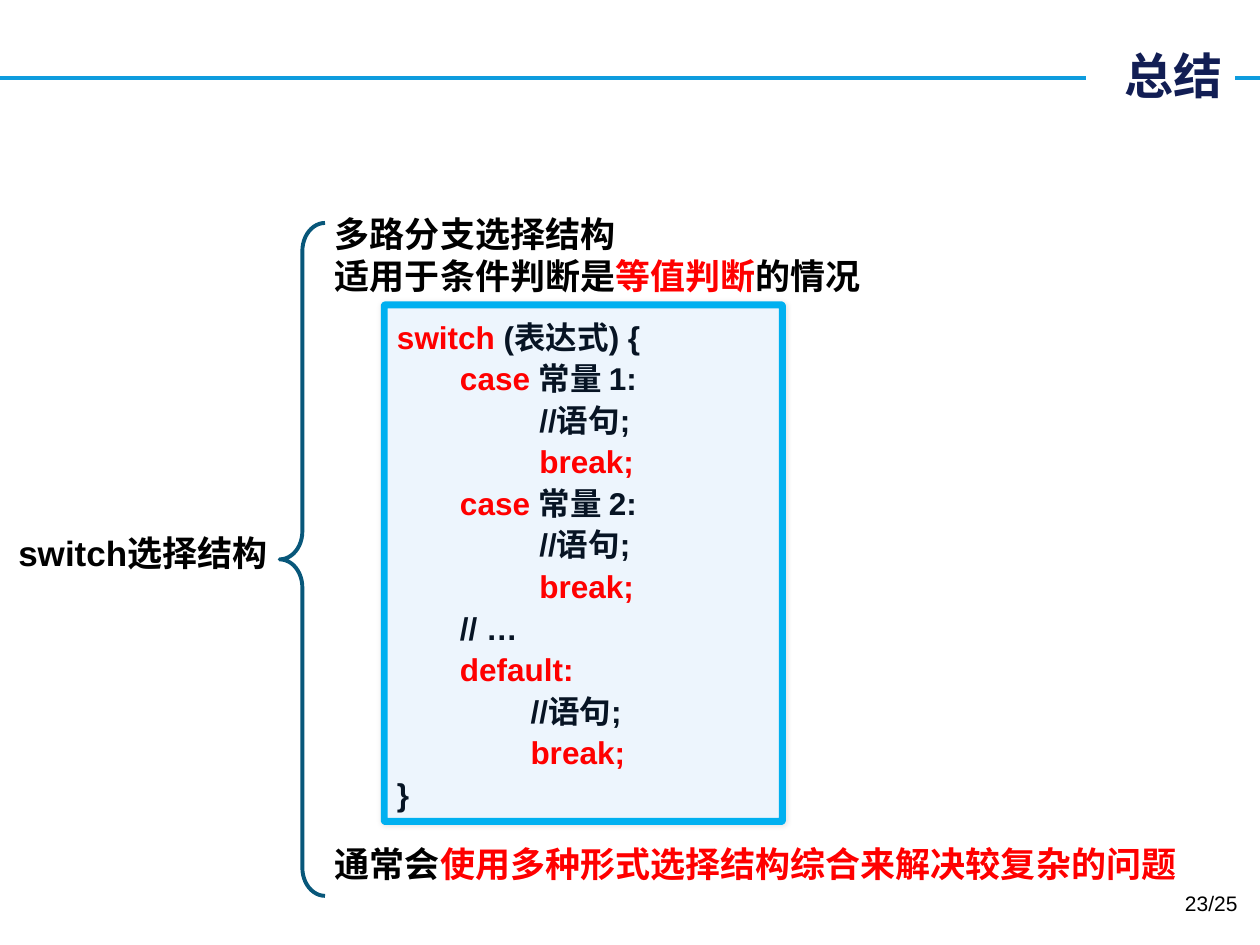
from lxml import etree
from pptx import Presentation
from pptx.dml.color import RGBColor
from pptx.enum.shapes import MSO_CONNECTOR, MSO_SHAPE
from pptx.enum.text import MSO_ANCHOR, PP_ALIGN
from pptx.oxml.ns import qn
from pptx.util import Inches, Pt

STRAIGHT = MSO_CONNECTOR.STRAIGHT
RECT, ROUND_RECT, BRACE = MSO_SHAPE.RECTANGLE, MSO_SHAPE.ROUNDED_RECTANGLE, MSO_SHAPE.LEFT_BRACE
TOP, MIDDLE = MSO_ANCHOR.TOP, MSO_ANCHOR.MIDDLE
LEFT, CENTER, RIGHT = PP_ALIGN.LEFT, PP_ALIGN.CENTER, PP_ALIGN.RIGHT

COLORS = {
    "black": "000000", "white": "FFFFFF", "red": "FF0000", "title": "121E54",
    "rule": "0E9CDE", "brace": "08577A", "code": "071424",
    "panel": "EDF5FD", "border": "00B0F0",
}
CJK_FONT = "Noto Sans CJK SC"

CASE_INDENT, BODY_INDENT, DEFAULT_INDENT = 0.5, 1.13, 1.06
STATEMENT = [("//语句;", "code")]
BREAK = [("break;", "red")]


def rgb(name):
    """Return the named palette colour."""
    return RGBColor.from_string(COLORS[name])


def add_text(tf, runs, first=False, size=20, font="Arial", bold=True, align=LEFT,
             indent=0, spacing=None, before=0):
    """Write one paragraph of (text, colour) runs into a text frame."""
    p = tf.paragraphs[0] if first else tf.add_paragraph()
    p.alignment, p.space_before = align, Pt(before)
    if spacing:
        p.line_spacing = spacing
    if indent:
        pPr = p._p.get_or_add_pPr()
        pPr.set("marL", str(Inches(indent)))
        pPr.set("indent", "0")
    for text, color in runs:
        r = p.add_run()
        r.text = text
        r.font.size, r.font.bold, r.font.name = Pt(size), bold, font
        r.font.color.rgb = rgb(color)
        etree.SubElement(r._r.get_or_add_rPr(), qn("a:ea"), typeface=CJK_FONT)


def add_box(s, x, y, w, h, wrap=True):
    """Add a text box and return its text frame."""
    tf = s.shapes.add_textbox(Inches(x), Inches(y), Inches(w), Inches(h)).text_frame
    tf.word_wrap, tf.vertical_anchor = wrap, TOP
    return tf


def add_shape(s, kind, x, y, w, h, fill=None, line=None, width=2.25):
    """Add a preset shape without a theme shadow."""
    sp = s.shapes.add_shape(kind, Inches(x), Inches(y), Inches(w), Inches(h))
    sp.shadow.inherit = False
    if fill:
        sp.fill.solid()
        sp.fill.fore_color.rgb = rgb(fill)
    else:
        sp.fill.background()
    if line:
        sp.line.color.rgb = rgb(line)
        sp.line.width = Pt(width)
    else:
        sp.line.fill.background()
    sp.text_frame.word_wrap = True
    sp.text_frame.vertical_anchor = MIDDLE
    return sp


def add_soft_shadow(sp, blur, alpha):
    """Put a faint centred shadow behind a shape."""
    effects = sp._element.spPr.find(qn("a:effectLst"))
    shadow = etree.SubElement(effects, qn("a:outerShdw"), blurRad=str(Pt(blur)), dist="0",
                              dir="0", algn="ctr", rotWithShape="0")
    color = etree.SubElement(shadow, qn("a:srgbClr"), val=COLORS["black"])
    etree.SubElement(color, qn("a:alpha"), val=str(alpha * 1000))


def add_header(s):
    """Draw the header rule and the title that interrupts it."""
    rule = s.shapes.add_connector(STRAIGHT, 0, Inches(0.62), Inches(10), Inches(0.62))
    rule.line.color.rgb = rgb("rule")
    rule.line.width = Pt(2.25)
    etree.SubElement(rule._element.spPr, qn("a:effectLst"))
    title = add_shape(s, RECT, 8.62, 0.31, 1.18, 0.57, fill="white")
    add_text(title.text_frame, [("总结", "title")], first=True, size=28, font=CJK_FONT, align=RIGHT)


def add_code_panel(s):
    """Draw the panel that shows the switch syntax."""
    panel = add_shape(s, ROUND_RECT, 3.05, 2.42, 3.16, 4.1, "panel", "border", 4)
    panel.adjustments[0] = 0.003
    add_soft_shadow(panel, blur=3, alpha=10)
    lines = [(0, [("switch", "red"), (" (表达式) {", "code")])]
    for number in (1, 2):
        lines += [(CASE_INDENT, [("case ", "red"), (f"常量 {number}:", "code")]),
                  (BODY_INDENT, STATEMENT), (BODY_INDENT, BREAK)]
    lines += [(CASE_INDENT, [("// …", "code")]), (CASE_INDENT, [("default:", "red")]),
              (DEFAULT_INDENT, STATEMENT), (DEFAULT_INDENT, BREAK), (0, [("}", "code")])]
    for i, (indent, runs) in enumerate(lines):
        add_text(panel.text_frame, runs, first=i == 0, size=18, indent=indent, spacing=1.1)


def main():
    """Build the summary slide."""
    prs = Presentation()
    prs.slide_width, prs.slide_height = Inches(10), Inches(7.5)
    s = prs.slides.add_slide(prs.slide_layouts[6])
    add_header(s)

    tf = add_box(s, 2.56, 1.64, 7.13, 5.49)
    add_text(tf, [("多路分支选择结构", "black")], first=True)
    add_text(tf, [("适用于条件判断是", "black"), ("等值判断", "red"), ("的情况", "black")])
    add_text(tf, [("通常会", "black"), ("使用多种形式选择结构综合来解决较复杂的问题", "red")], before=312)

    tf = add_box(s, 0, 4.17, 2.27, 0.44, wrap=False)
    add_text(tf, [("switch选择结构", "black")], first=True, align=CENTER)

    brace = add_shape(s, BRACE, 2.22, 1.77, 0.36, 5.34, line="brace")
    brace.adjustments[0] = 0.62
    add_code_panel(s)

    tf = add_box(s, 7.59, 7.02, 2.33, 0.4)
    add_text(tf, [("23/25", "black")], first=True, size=12, bold=False, align=RIGHT)
    prs.save("out.pptx")


if __name__ == "__main__":
    main()
